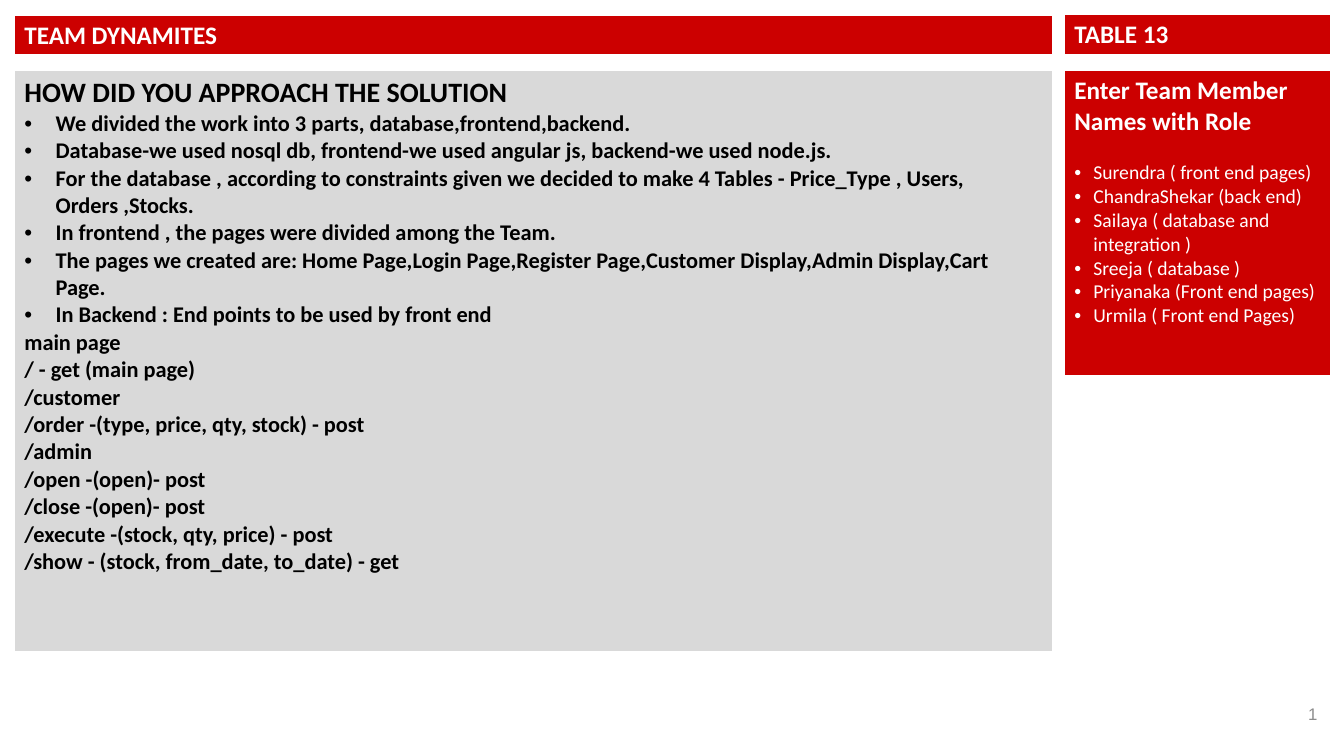
from lxml import etree
from pptx import Presentation
from pptx.dml.color import RGBColor
from pptx.enum import text
from pptx.oxml import ns
from pptx.util import Cm, Pt

RED = RGBColor(0xCC, 0x00, 0x00)
GREY = RGBColor(0xD9, 0xD9, 0xD9)
WHITE = RGBColor(0xFF, 0xFF, 0xFF)
BLACK = RGBColor(0x00, 0x00, 0x00)
NUMBER_GREY = RGBColor(0x8C, 0x8C, 0x8C)

prs = Presentation()
prs.slide_width, prs.slide_height = Cm(33.87), Cm(19.05)
slide = prs.slides.add_slide(prs.slide_layouts[6])


def add_panel(left, top, width, height, fill):
    """One-cell table with white borders, thicker at the bottom."""
    table = slide.shapes.add_table(
        1, 1, Cm(left), Cm(top), Cm(width), Cm(height)).table
    table.first_row = table.horz_banding = False
    cell = table.cell(0, 0)
    cell.fill.solid()
    cell.fill.fore_color.rgb = fill
    borders = (("lnL", 1), ("lnR", 1), ("lnT", 1), ("lnB", 3))
    for position, (side, points) in enumerate(borders):
        line = etree.Element(ns.qn("a:" + side), w=str(Pt(points)))
        solid = etree.SubElement(line, ns.qn("a:solidFill"))
        etree.SubElement(solid, ns.qn("a:srgbClr"), val=str(WHITE))
        cell._tc.get_or_add_tcPr().insert(position, line)
    return cell.text_frame


def write(frame, lines, size, color, bold=True, indent=None):
    """Add one paragraph per line; an indent in cm makes it a bullet."""
    for line in lines:
        first = not frame.text
        paragraph = frame.paragraphs[0] if first else frame.add_paragraph()
        paragraph.text = line
        font = paragraph.runs[0].font
        font.name, font.size, font.bold = "Calibri", Pt(size), bold
        font.color.rgb = color
        if indent:
            props = paragraph._p.get_or_add_pPr()
            props.set("marL", str(Cm(indent)))
            props.set("indent", str(-Cm(indent)))
            etree.SubElement(props, ns.qn("a:buFont"), typeface="Arial")
            etree.SubElement(props, ns.qn("a:buChar"), char="•")


# Two columns, each with a header bar above a panel
MAIN_LEFT, MAIN_WIDTH = 0.36, 26.16
SIDE_LEFT, SIDE_WIDTH = 26.82, 6.7
BAR_HEIGHT, PANEL_TOP = 1.04, 1.78

# Header bars
team_bar = add_panel(MAIN_LEFT, 0.38, MAIN_WIDTH, BAR_HEIGHT, RED)
write(team_bar, ["TEAM DYNAMITES"], 18, WHITE)
table_bar = add_panel(SIDE_LEFT, 0.36, SIDE_WIDTH, BAR_HEIGHT, RED)
write(table_bar, ["TABLE 13"], 18, WHITE)

# Team members
members = add_panel(SIDE_LEFT, PANEL_TOP, SIDE_WIDTH, 7.72, RED)
write(members, ["Enter Team Member Names with Role"], 18, WHITE)
write(members, [
    "Surendra ( front end pages)",
    "ChandraShekar (back end)",
    "Sailaya ( database and integration )",
    "Sreeja ( database )",
    "Priyanaka (Front end pages)",
    "Urmila ( Front end Pages)",
], 14, WHITE, bold=False, indent=0.48)
members.paragraphs[0].space_after = Pt(17)

# Approach to the solution
approach = add_panel(MAIN_LEFT, PANEL_TOP, MAIN_WIDTH, 14.68, GREY)
write(approach, ["HOW DID YOU APPROACH THE SOLUTION"], 20, BLACK)
write(approach, [
    "We divided the work into 3 parts, database,frontend,backend.",
    "Database-we used nosql db, frontend-we used angular js, "
    "backend-we used node.js.",
    "For the database , according to constraints given we decided to make "
    "4 Tables - Price_Type , Users, Orders ,Stocks.",
    "In frontend , the pages were divided among the Team.",
    "The pages we created are: Home Page,Login Page,Register Page,"
    "Customer Display,Admin Display,Cart Page.",
    "In Backend : End points to be used by front end",
], 16, BLACK, indent=0.79)
write(approach, [
    "main page",
    "/ - get (main page)",
    "/customer",
    "/order -(type, price, qty, stock) - post",
    "/admin",
    "/open -(open)- post",
    "/close -(open)- post",
    "/execute -(stock, qty, price) - post",
    "/show - (stock, from_date, to_date) - get",
], 16, BLACK)

# Slide number
number_frame = slide.shapes.add_textbox(
    Cm(32.36), Cm(17.48), Cm(1.09), Cm(1.02)).text_frame
number_frame.word_wrap = True
number_frame.vertical_anchor = text.MSO_ANCHOR.MIDDLE
number = number_frame.paragraphs[0]
number.text = "1"
number.alignment = text.PP_ALIGN.RIGHT
number_font = number.runs[0].font
number_font.name, number_font.size = "Arial", Pt(12)
number_font.color.rgb = NUMBER_GREY

prs.save("out.pptx")
